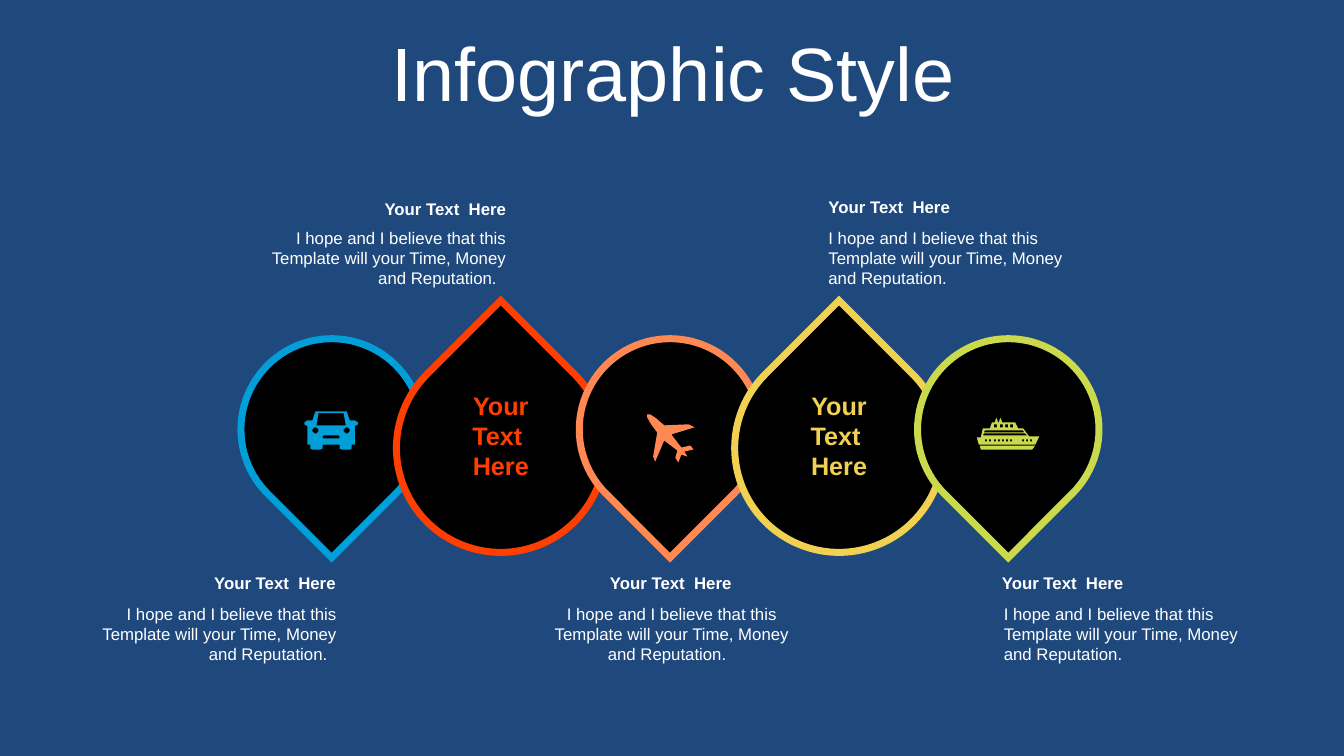
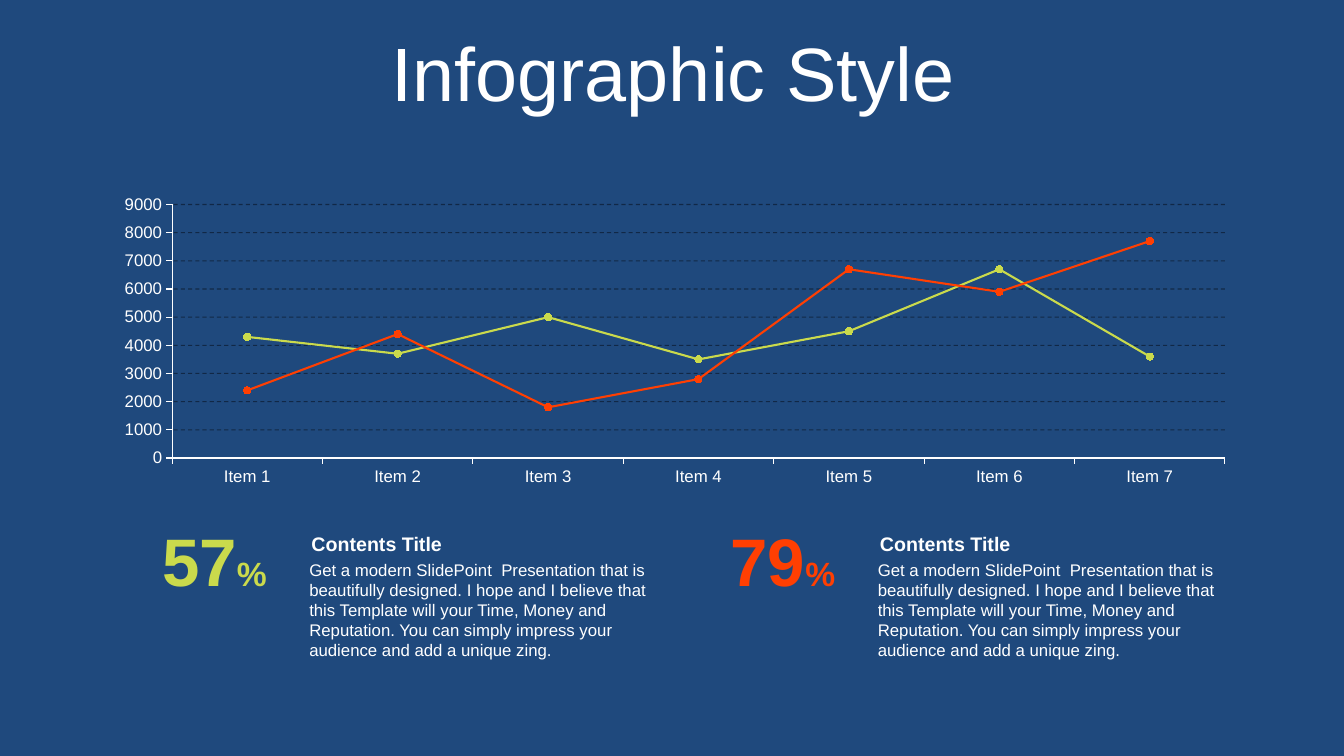
from lxml import etree
from pptx import Presentation
from pptx.chart.data import CategoryChartData
from pptx.dml.color import RGBColor
from pptx.enum.chart import XL_CHART_TYPE, XL_MARKER_STYLE, XL_TICK_MARK
from pptx.enum.dml import MSO_LINE
from pptx.enum.shapes import MSO_SHAPE
from pptx.enum.text import MSO_ANCHOR, MSO_AUTO_SIZE, PP_ALIGN
from pptx.oxml.ns import qn
from pptx.util import Inches, Pt

LEFT, MID, RIGHT = PP_ALIGN.LEFT, PP_ALIGN.CENTER, PP_ALIGN.RIGHT
TOP, CENTER = MSO_ANCHOR.TOP, MSO_ANCHOR.MIDDLE
FIT = MSO_AUTO_SIZE.SHAPE_TO_FIT_TEXT
DROP = MSO_SHAPE.TEAR
LINES = XL_CHART_TYPE.LINE_MARKERS
DOT = XL_MARKER_STYLE.CIRCLE
OUT = XL_TICK_MARK.OUTSIDE
DASH = MSO_LINE.DASH

NAVY = RGBColor(0x1F, 0x49, 0x7D)
WHITE = RGBColor(0xFF, 0xFF, 0xFF)
BLACK = RGBColor(0, 0, 0)
BLUE = RGBColor(0x01, 0x9E, 0xD7)
RED = RGBColor(0xFF, 0x3F, 0x02)
CORAL = RGBColor(0xFF, 0x88, 0x53)
GOLD = RGBColor(0xF0, 0xD1, 0x52)
LIME = RGBColor(0xCA, 0xDA, 0x4C)

FONT = "Arial"
CELL = Inches(0.1)  # side of one grid cell
DETAIL = CELL // 10  # unit of the icon outlines


def grid(*cells):
    return [round(n * CELL) for n in cells]


class Deck:
    def __init__(self):
        self.prs = Presentation()
        self.prs.slide_width, self.prs.slide_height = grid(133.33, 75)
        back = self.prs.slide_master.background.fill
        back.solid()
        back.fore_color.rgb = NAVY

    def page(self, title):
        self.slide = self.prs.slides.add_slide(self.prs.slide_layouts[6])
        self.shapes = self.slide.shapes
        box = self.text((3.5, 3.7, 126.6, 7.9), [[(title, 54)]],
                        align=MID, anchor=CENTER, fit=False)
        para = box.text_frame.paragraphs[0]
        para.line_spacing = 0.9
        para.space_before = Pt(10)

    def text(self, at, paras, color=WHITE, bold=False, align=LEFT,
             anchor=TOP, inset=1, fit=True):
        """Each paragraph is a list of (words, size) runs."""
        box = self.shapes.add_textbox(*grid(*at))
        frame = box.text_frame
        frame.word_wrap = True
        frame.vertical_anchor = anchor
        frame.margin_left, frame.margin_right = grid(inset, inset)
        if fit:
            frame.auto_size = FIT
        for i, runs in enumerate(paras):
            para = frame.add_paragraph() if i else frame.paragraphs[0]
            para.alignment = align
            for words, size in runs:
                run = para.add_run()
                run.text = words
                font = run.font
                font.name, font.size, font.bold = FONT, Pt(size), bold
                font.color.rgb = color
        return box

    def paint(self, shape, color):
        shape.shadow.inherit = False
        shape.fill.solid()
        shape.fill.fore_color.rgb = color
        shape.line.fill.background()

    def drop(self, x, y, size, turn, color):
        """A teardrop centred on x, y."""
        shape = self.shapes.add_shape(
            DROP, *grid(x - size / 2, y - size / 2, size, size))
        self.paint(shape, BLACK)
        shape.rotation = turn
        shape.line.color.rgb = color
        shape.line.width = Pt(5)
        edge = shape.line.fill._xPr
        etree.SubElement(edge, qn("a:miter")).set("lim", "800000")

    def icon(self, x, y, loops, color):
        """One outline made of closed loops; inner loops are holes."""
        first, *holes = loops
        pen = self.shapes.build_freeform(*first[0], scale=DETAIL)
        pen.add_line_segments(first[1:], close=True)
        for loop in holes:
            pen.move_to(*loop[0])
            pen.add_line_segments(loop[1:], close=True)
        self.paint(pen.convert_to_shape(*grid(x, y)), color)

    def chart(self, at, names, series):
        data = CategoryChartData()
        data.categories = names
        for name, values, _ in series:
            data.add_series(name, values)
        chart = self.shapes.add_chart(LINES, *grid(*at), data).chart
        chart.has_legend = chart.has_title = False
        chart.font.name, chart.font.size = FONT, Pt(18)
        chart.font.color.rgb = WHITE
        for axis in (chart.category_axis, chart.value_axis):
            font = axis.tick_labels.font
            font.name, font.size = FONT, Pt(12)
            font.color.rgb = WHITE
            axis.major_tick_mark = OUT
            axis.format.line.color.rgb = WHITE
        # Value scale and faint dashed grid
        axis = chart.value_axis
        axis.minimum_scale, axis.maximum_scale = 0, 9000
        axis.major_unit = 1000
        axis.has_major_gridlines = True
        line = axis.major_gridlines.format.line
        line.color.rgb = BLACK
        line.width, line.dash_style = Pt(0.75), DASH
        tint = line.fill._xPr.find(".//" + qn("a:srgbClr"))
        etree.SubElement(tint, qn("a:alpha")).set("val", "44000")
        # Series lines and dots
        plot = chart.plots[0]
        plot.vary_by_categories = False
        for row, (_, _, color) in zip(plot.series, series):
            row.smooth = False
            row.format.line.color.rgb = color
            row.format.line.width = Pt(1.5)
            mark = row.marker
            mark.style, mark.size = DOT, 5
            mark.format.fill.solid()
            mark.format.fill.fore_color.rgb = color
            mark.format.line.color.rgb = color


def box(x, y, w, h):
    return [(x, y), (x + w, y), (x + w, y + h), (x, y + h)]


def lamp(x, y):
    return [(x + a, y + b) for a, b in
            ((-3, -1), (-1, -3), (1, -3), (3, -1),
             (3, 1), (1, 3), (-1, 3), (-3, 1))]


# Icon outlines
CAR = [
    [(11, 0), (42, 0), (45, 9), (50, 9), (53, 11), (53, 13), (50, 15),
     (50, 33), (47, 33), (47, 37), (45, 38), (37, 38), (35, 37), (35, 33),
     (18, 33), (18, 37), (16, 38), (8, 38), (6, 37), (6, 33), (3, 33),
     (3, 15), (0, 13), (0, 11), (3, 9), (8, 9)],
    [(14, 2), (12, 14), (41, 14), (39, 2)],
    lamp(11, 19), lamp(42, 19),
    [(18, 25), (19, 24), (34, 24), (35, 25),
     (35, 26), (34, 27), (19, 27), (18, 26)],
]
PLANE = [
    [(46, 35), (37, 37), (40, 42), (34, 40), (31, 48), (28, 43), (30, 36),
     (17, 26), (8, 47), (6, 42), (10, 18), (4, 10), (0, 3), (0, 0), (3, 0),
     (9, 4), (17, 11), (41, 10), (47, 13), (24, 20), (34, 33), (43, 31)],
]
SHIP = [
    [(23, 0), (24, 0), (25, 4), (38, 4), (41, 10), (46, 10), (52, 18),
     (62, 18), (58, 26), (2, 26), (0, 19), (4, 19), (6, 10), (13, 10),
     (15, 4), (18, 4), (19, 0), (20, 0), (21, 4), (22, 4)],
    [(3, 27), (58, 27), (55, 31), (4, 31)],
    [(7, 15), (6, 17), (50, 17), (48, 15)],
    [(8, 12), (7, 14), (47, 14), (46, 12)],
    *[box(x, 21, 2, 2) for x in (8, 12, 17, 21, 25, 29, 33, 45, 49, 53)],
    *[box(x, 6, 3, 3) for x in (17, 23, 28, 33)],
]

deck = Deck()
TITLE = "Infographic Style"

# Slide 1: chain of teardrops
deck.page(TITLE)
for i, color in enumerate((BLUE, RED, CORAL, GOLD, LIME)):
    x = 32.9 + 16.78 * i
    if i % 2:
        deck.drop(x, 44.45, 20.7, 315, color)
        deck.text((x - 4.75, 38.2, 9.5, 10.1),
                  [[(word, 18)] for word in ("Your", "Text ", "Here")],
                  color, bold=True, align=MID)
    else:
        deck.drop(x, 42.6, 18, 135, color)

HOPE = ("I hope and I believe that this Template will your Time, "
        "Money and Reputation.  ")
NOTES = (  # head left and top, body left and top, width, side
    (98.4, 56.3, 98.6, 59.4, 26.9, LEFT),
    (52.4, 56.3, 52.5, 59.4, 28.3, MID),
    (81.2, 19, 81.2, 22.1, 27.4, LEFT),
    (23.8, 19.2, 23.8, 22.1, 27.4, RIGHT),
    (6, 56.3, 6.1, 59.4, 28.3, RIGHT),
)
for hx, hy, bx, by, wide, side in NOTES:
    deck.text((hx, hy, wide, 3), [[("Your Text  Here", 12)]],
              bold=True, align=side)
    deck.text((bx, by, wide, 7.1), [[(HOPE, 12)]], align=side)

deck.icon(30.2, 40.8, CAR, BLUE)
deck.icon(96.9, 41.5, SHIP, LIME)
deck.icon(64.2, 41.1, PLANE, CORAL)

# Slide 2: line chart with two key figures
deck.page(TITLE)
deck.chart((10.1, 18.8, 113.7, 30), [f"Item {n}" for n in range(1, 8)], (
    ("Series 1", (4300, 3700, 5000, 3500, 4500, 6700, 3600), LIME),
    ("Series 2", (2400, 4400, 1800, 2800, 6700, 5900, 7700), RED),
))
STORY = ("Get a modern PowerPoint  Presentation that is beautifully designed. "
         "I hope and I believe that this Template will your Time, Money and "
         "Reputation. You can simply impress your audience and add a unique "
         "zing.").replace("PowerPoint", "SlidePoint")
for i, (share, color) in enumerate((("57", LIME), ("79", RED))):
    x = 15.1 + 56.4 * i
    deck.text((x + 14.6, 55, 36.7, 11.1), [[(STORY, 12)]])
    deck.text((x + 14.6, 52.3, 36.7, 3.4), [[("Contents Title", 14)]],
              bold=True, inset=1.2)
    deck.text((x, 51, 12.7, 9.1), [[(share, 48), ("%", 24)]],
              color, bold=True, anchor=CENTER)

deck.prs.save("out.pptx")
